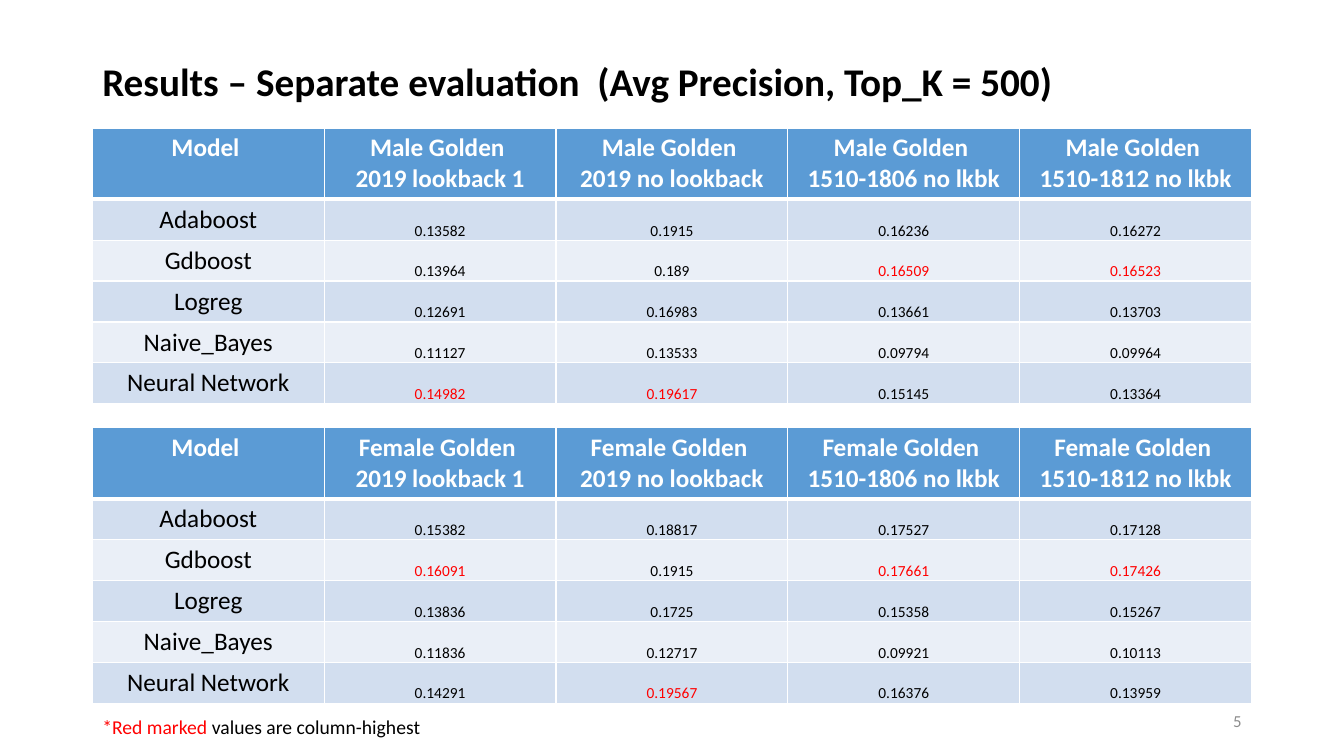
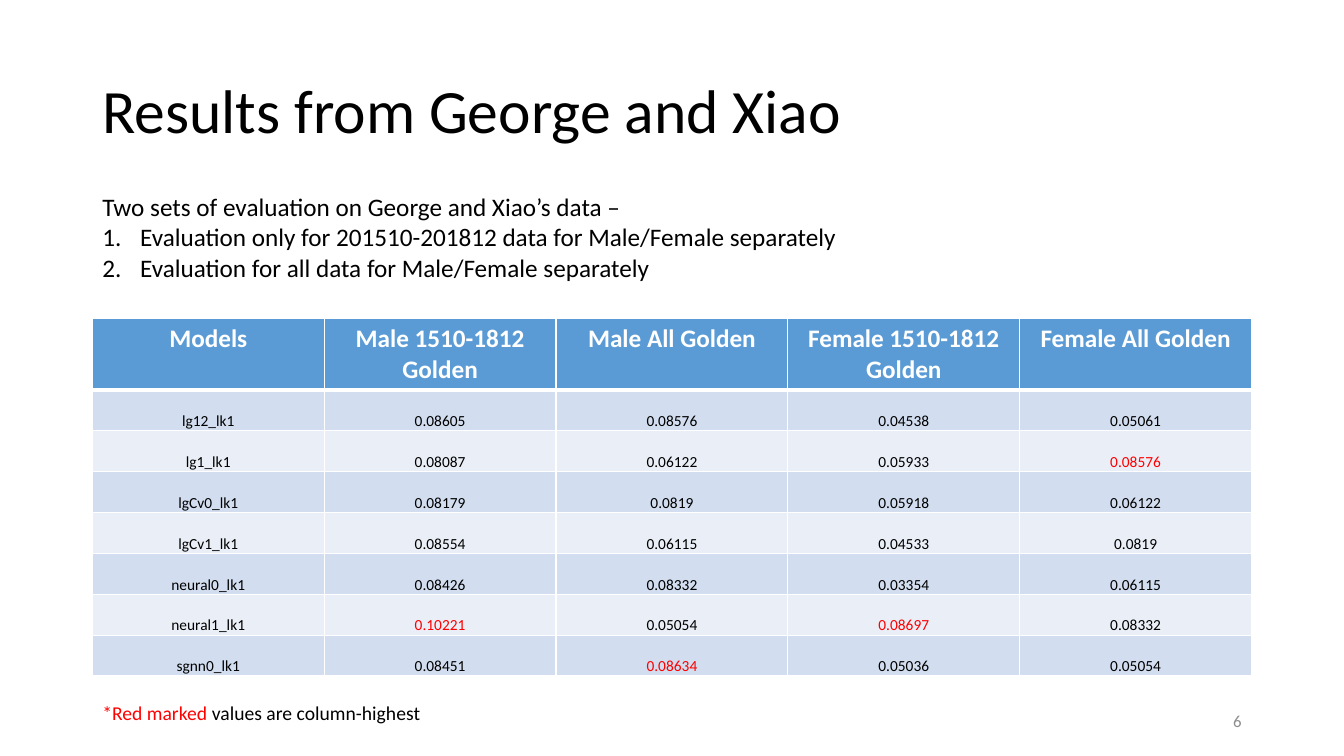
import lxml.etree
import pptx
import pptx.dml.color
import pptx.enum.text
import pptx.oxml.ns
import pptx.util

Pt = pptx.util.Pt
ALIGN = pptx.enum.text.PP_ALIGN
ANCHOR = pptx.enum.text.MSO_ANCHOR
FONT = "Calibri"
COLORS = {"text": "000000", "white": "FFFFFF", "best": "FF0000", "number": "8C8C8C",
          "header": "5B9BD5", "odd": "D2DEEF", "even": "EAEFF7"}
LEFT, WIDTH = 66, 828
HEADER_HEIGHT, ROW_HEIGHT = 51, 29.2


def rgb(name):
    """Return the named colour."""
    return pptx.dml.color.RGBColor.from_string(COLORS[name])


def add_node(parent, tag, **attributes):
    """Append a drawing element to parent."""
    return lxml.etree.SubElement(parent, pptx.oxml.ns.qn(tag), **attributes)


def add_span(para, text, size, color="text", bold=False):
    """Append one styled run to a paragraph."""
    span = para.add_run()
    span.text = text
    span.font.name = FONT
    span.font.size = Pt(size)
    span.font.bold = bold
    span.font.color.rgb = rgb(color)


class ResultsDeck:
    """Shared style of the deck and its current slide."""

    def __init__(self):
        self.deck = pptx.Presentation()
        self.deck.slide_width, self.deck.slide_height = Pt(960), Pt(540)
        self.page = None

    def start_page(self, title, number, height, size, bold=False):
        """Add a slide with its title and page number."""
        self.page = self.deck.slides.add_slide(self.deck.slide_layouts[6])
        para = self.box(LEFT, 28.8, WIDTH, height, ANCHOR.MIDDLE).paragraphs[0]
        para.line_spacing = 0.9
        add_span(para, title, size, bold=bold)
        para = self.box(678, 500.4, 216, 28.8, ANCHOR.MIDDLE).paragraphs[0]
        para.alignment = ALIGN.RIGHT
        add_span(para, str(number), 12, "number")

    def box(self, left, top, width, height, anchor=ANCHOR.TOP):
        """Add a wrapping text box and return its text frame."""
        frame = self.page.shapes.add_textbox(
            Pt(left), Pt(top), Pt(width), Pt(height)).text_frame
        frame.word_wrap = True
        frame.vertical_anchor = anchor
        return frame

    def numbered_list(self, top, height, intro, items):
        """Add an introduction followed by numbered items."""
        frame = self.box(LEFT, top, WIDTH, height)
        add_span(frame.paragraphs[0], intro, 18)
        for item in items:
            para = frame.add_paragraph()
            add_span(para, item, 18)
            properties = para._p.get_or_add_pPr()
            properties.set("marL", str(Pt(27)))
            properties.set("indent", str(-Pt(27)))
            add_node(properties, "a:buFont", typeface="+mj-lt")
            add_node(properties, "a:buAutoNum", type="arabicPeriod")

    def legend(self, top):
        """Explain the red values."""
        para = self.box(LEFT, top, 362, 24.2).paragraphs[0]
        add_span(para, "*Red marked", 14, "best")
        add_span(para, " values are column-highest", 14)

    def cell(self, cell, text, fill, size, color="text", bold=False, tight=False,
             top_line=1, bottom_line=1):
        """Fill, border and write one table cell."""
        properties = cell._tc.get_or_add_tcPr()
        for side, width in (("L", 1), ("R", 1), ("T", top_line), ("B", bottom_line)):
            line = add_node(properties, f"a:ln{side}", w=str(Pt(width)))
            add_node(add_node(line, "a:solidFill"), "a:srgbClr", val=COLORS["white"])
        cell.fill.solid()
        cell.fill.fore_color.rgb = rgb(fill)
        if tight:
            cell.vertical_anchor = ANCHOR.BOTTOM
            cell.margin_left = cell.margin_right = cell.margin_top = Pt(0.75)
            cell.margin_bottom = 0
        frame = cell.text_frame
        for index, text_line in enumerate(text.split("\n")):
            para = frame.add_paragraph() if index else frame.paragraphs[0]
            para.alignment = ALIGN.CENTER
            add_span(para, text_line, size, color, bold)

    def score_table(self, top, headings, scores, small_labels=False):
        """Add a table of model scores, with each column's highest in red."""
        height = HEADER_HEIGHT + ROW_HEIGHT * len(scores)
        table = self.page.shapes.add_table(
            len(scores) + 1, len(headings), Pt(LEFT), Pt(top), Pt(WIDTH), Pt(height)).table
        for column in table.columns:
            column.width = Pt(WIDTH / len(headings))
        for index, row in enumerate(table.rows):
            row.height = Pt(ROW_HEIGHT if index else HEADER_HEIGHT)
        for index, heading in enumerate(headings):
            self.cell(table.cell(0, index), heading, "header", 18, "white", True,
                      bottom_line=3)
        best = [max(column, key=float) for column in zip(*scores.values())]
        for row, (model, values) in enumerate(scores.items(), 1):
            fill = "odd" if row % 2 else "even"
            top_line = 3 if row == 1 else 1
            self.cell(table.cell(row, 0), model, fill, 11 if small_labels else 18,
                      tight=small_labels, top_line=top_line)
            for column, (value, highest) in enumerate(zip(values, best), 1):
                self.cell(table.cell(row, column), value, fill, 11,
                          "best" if value == highest else "text",
                          tight=True, top_line=top_line)


PERIODS = ["2019 lookback 1", "2019 no lookback", "1510-1806 no lkbk", "1510-1812 no lkbk"]
MALE = {
    "Adaboost": ["0.13582", "0.1915", "0.16236", "0.16272"],
    "Gdboost": ["0.13964", "0.189", "0.16509", "0.16523"],
    "Logreg": ["0.12691", "0.16983", "0.13661", "0.13703"],
    "Naive_Bayes": ["0.11127", "0.13533", "0.09794", "0.09964"],
    "Neural Network": ["0.14982", "0.19617", "0.15145", "0.13364"],
}
FEMALE = {
    "Adaboost": ["0.15382", "0.18817", "0.17527", "0.17128"],
    "Gdboost": ["0.16091", "0.1915", "0.17661", "0.17426"],
    "Logreg": ["0.13836", "0.1725", "0.15358", "0.15267"],
    "Naive_Bayes": ["0.11836", "0.12717", "0.09921", "0.10113"],
    "Neural Network": ["0.14291", "0.19567", "0.16376", "0.13959"],
}
GEORGE_XIAO = {
    "lg12_lk1": ["0.08605", "0.08576", "0.04538", "0.05061"],
    "lg1_lk1": ["0.08087", "0.06122", "0.05933", "0.08576"],
    "lgCv0_lk1": ["0.08179", "0.0819", "0.05918", "0.06122"],
    "lgCv1_lk1": ["0.08554", "0.06115", "0.04533", "0.0819"],
    "neural0_lk1": ["0.08426", "0.08332", "0.03354", "0.06115"],
    "neural1_lk1": ["0.10221", "0.05054", "0.08697", "0.08332"],
    "sgnn0_lk1": ["0.08451", "0.08634", "0.05036", "0.05054"],
}

results = ResultsDeck()

results.start_page("Results – Separate evaluation  (Avg Precision, Top_K = 500)", 5,
                   62.6, 28, bold=True)
for group, top, scores in (("Male", 91.4, MALE), ("Female", 305.3, FEMALE)):
    headings = ["Model "] + [f"{group} Golden \n{period}" for period in PERIODS]
    results.score_table(top, headings, scores)
results.legend(506.9)

results.start_page("Results from George and Xiao", 6, 104.4, 44)
results.score_table(
    227.5,
    ["Models", "Male 1510-1812 Golden", "Male All Golden",
     "Female 1510-1812 Golden", "Female All Golden"],
    GEORGE_XIAO, small_labels=True)
results.numbered_list(
    133.2, 72.7, "Two sets of evaluation on George and Xiao’s data – ",
    ["Evaluation only for 201510-201812 data for Male/Female separately",
     "Evaluation for all data for Male/Female separately "])
results.legend(496.8)

results.deck.save("out.pptx")
